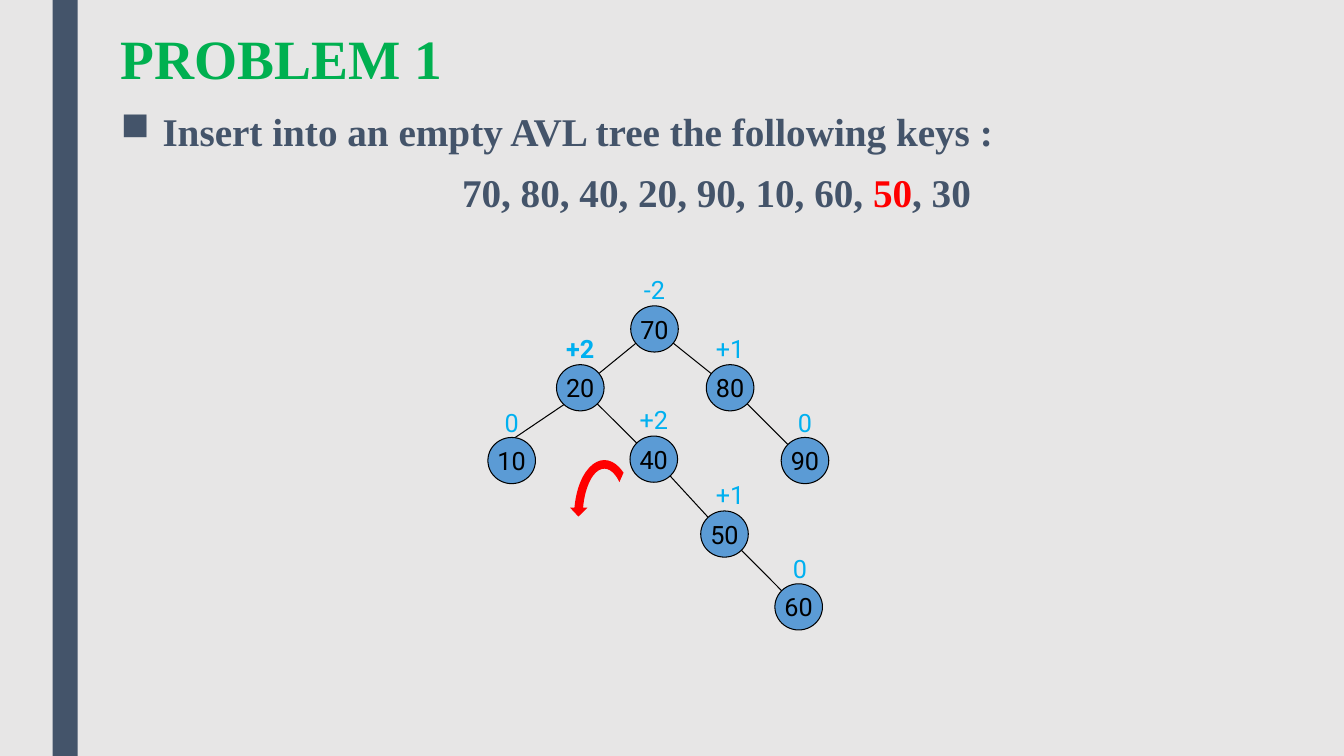
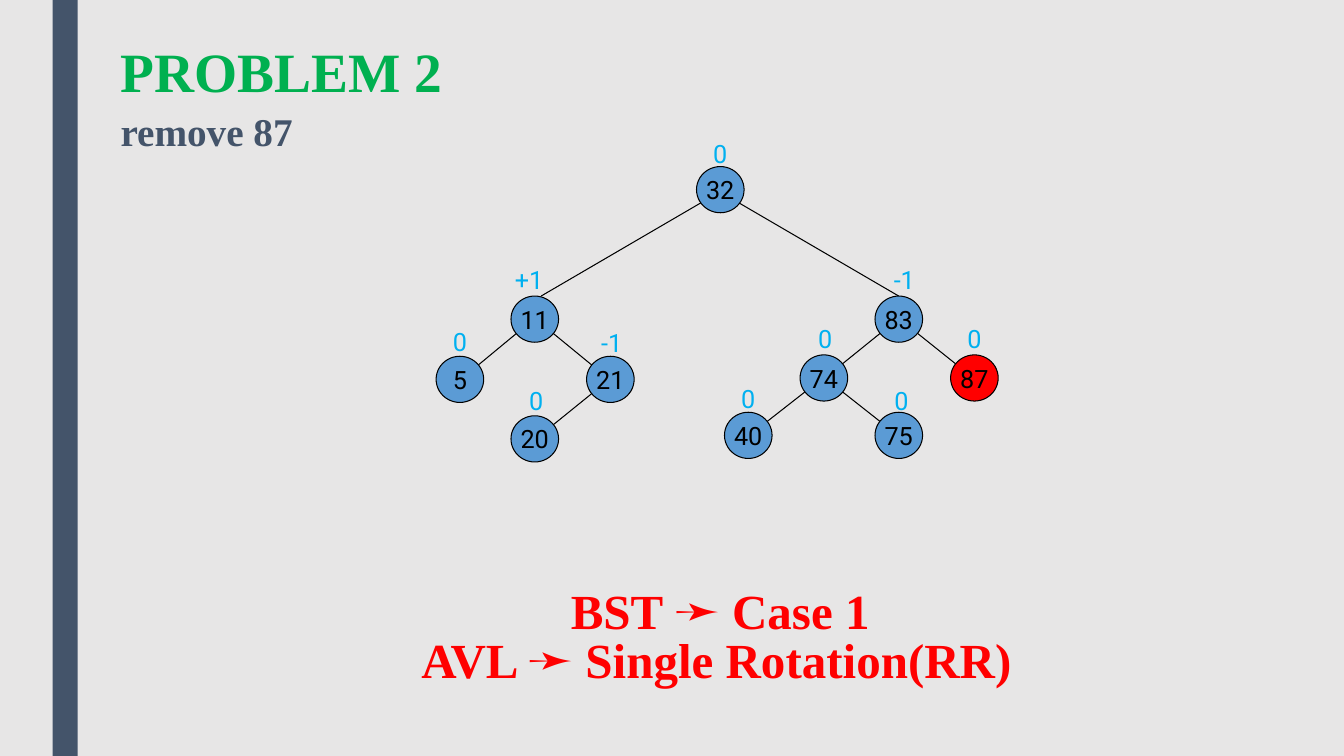
import math
from typing import NamedTuple, Optional

import lxml.etree
import pptx
import pptx.dml.color
import pptx.enum.shapes
import pptx.enum.text
import pptx.oxml.ns
import pptx.util

Pt = pptx.util.Pt
ALIGN = pptx.enum.text.PP_ALIGN
ANCHOR = pptx.enum.text.MSO_ANCHOR
SHAPE = pptx.enum.shapes.MSO_SHAPE

GREY, SLATE, GREEN, BLUE = "E7E6E6", "44546A", "00B050", "5B9BD5"
SKY, RED, BLACK = "00B0F0", "FF0000", "000000"
SERIF, SANS = "Times New Roman", "Roboto"
NODE_WIDTH, NODE_HEIGHT = 34, 33


class Node(NamedTuple):
    """A tree node by its centre; shift and rise place its balance factor.

    entry is the x offset at which the edge meets the top of the node;
    without it the edge points at the centre.
    """
    key: int
    x: float
    y: float
    balance: str
    parent: Optional[int] = None
    shift: float = 0
    rise: float = 28
    entry: Optional[float] = None
    fill: str = BLUE
    bold: bool = False


INSERT_TREE = [
    Node(70, 467.5, 235, "-2"),
    Node(20, 414.5, 277, "+2", 70, bold=True),
    Node(80, 521.5, 277, "+1", 70),
    Node(10, 365.5, 329, "0", 20, rise=27, entry=2.5),
    Node(40, 467, 328, "+2", 20),
    Node(90, 575, 329, "0", 80, rise=27),
    Node(50, 517.5, 381.5, "+1", 40, shift=4),
    Node(60, 570.5, 433.5, "0", 50, shift=1, rise=27),
]
REMOVE_TREE = [
    Node(32, 514.5, 135.5, "0", rise=26),
    Node(11, 382, 228, "+1", 32, shift=-4, entry=4.5),
    Node(83, 642, 228, "-1", 32, shift=4, entry=0),
    Node(5, 328.5, 271, "0", 11, rise=27),
    Node(21, 436, 271, "-1", 11, shift=1, rise=26),
    Node(20, 382, 313.5, "0", 21, shift=1, rise=27),
    Node(74, 588.5, 270, "0", 83, shift=1),
    Node(87, 696, 270, "0", 83, fill=RED),
    Node(40, 534.5, 311, "0", 74, rise=26),
    Node(75, 642, 311, "0", 74, shift=2, rise=25),
]


def rgb(value):
    return pptx.dml.color.RGBColor.from_string(value)


def rim(node, target):
    """Point where the node's outline faces the target."""
    angle = math.atan2(target.y - node.y, target.x - node.x)
    return (node.x + NODE_WIDTH / 2 * math.cos(angle),
            node.y + NODE_HEIGHT / 2 * math.sin(angle))


class Deck:
    def __init__(self):
        self.presentation = pptx.Presentation()
        self.presentation.slide_width = Pt(960)
        self.presentation.slide_height = Pt(540)
        self.slide = None

    def style_master(self):
        """Give the master its background and the band drawn on this slide."""
        master = self.presentation.slide_master
        master.background.fill.solid()
        master.background.fill.fore_color.rgb = rgb(GREY)
        band = self.shape(SHAPE.RECTANGLE, 37.5, 0, 18, 540, SLATE)
        band.element.nvSpPr.cNvPr.set("id", "20")
        master.shapes.element.insert(2, band.element)

    def new_slide(self, title, top):
        layout = self.presentation.slide_layouts.get_by_name("Title Only")
        self.slide = self.presentation.slides.add_slide(layout)
        if len(self.presentation.slides) == 1:
            self.style_master()
        heading = self.slide.shapes.title
        heading.left, heading.top = Pt(79), Pt(top)
        heading.width, heading.height = Pt(756), Pt(51)
        frame = heading.text_frame
        frame.auto_size = pptx.enum.text.MSO_AUTO_SIZE.NONE
        frame.vertical_anchor = ANCHOR.BOTTOM
        frame.text = title
        frame.paragraphs[0].line_spacing = 0.89
        self.format(frame.paragraphs[0], SERIF, 39.6, GREEN, True, ALIGN.LEFT)

    def format(self, paragraph, font, size, color, bold=False,
               align=ALIGN.CENTER):
        paragraph.alignment = align
        for run in paragraph.runs:
            run.font.name = font
            run.font.size = Pt(size)
            run.font.bold = bold
            run.font.color.rgb = rgb(color)

    def shape(self, kind, left, top, width, height, fill, line=None):
        shape = self.slide.shapes.add_shape(
            kind, Pt(left), Pt(top), Pt(width), Pt(height))
        shape.shadow.inherit = False
        shape.fill.solid()
        shape.fill.fore_color.rgb = rgb(fill)
        if line:
            shape.line.color.rgb = rgb(line)
            shape.line.width = Pt(0.75)
        else:
            shape.line.fill.background()
        return shape

    def label(self, text, x, y, width, height, font, size, color, bold=False):
        """One centred line of text around the point x, y."""
        box = self.slide.shapes.add_textbox(
            Pt(x - width / 2), Pt(y - height / 2), Pt(width), Pt(height))
        box.text_frame.word_wrap = False
        box.text_frame.text = text
        self.format(box.text_frame.paragraphs[0], font, size, color, bold)

    def body(self, *lines):
        box = self.slide.shapes.add_textbox(
            Pt(79), Pt(75.5), Pt(865.5), Pt(416))
        frame = box.text_frame
        frame.word_wrap = True
        frame.text = "\n".join(lines)
        for paragraph in frame.paragraphs:
            paragraph.line_spacing = 0.94
            paragraph.space_before, paragraph.space_after = Pt(10), Pt(2)
            self.format(paragraph, SERIF, 28, SLATE, True, ALIGN.LEFT)
        return frame.paragraphs

    def bullet(self, paragraph):
        properties = paragraph._p.get_or_add_pPr()
        properties.set("marL", str(Pt(30)))
        properties.set("indent", str(-Pt(30)))
        mark = lxml.etree.SubElement(
            properties, pptx.oxml.ns.qn("a:buChar"))
        mark.set("char", "■")

    def edge(self, parent, child):
        start = rim(parent, child)
        if child.entry is None:
            end = rim(child, parent)
        else:
            end = child.x + child.entry, child.y - NODE_HEIGHT / 2
        line = self.slide.shapes.add_connector(
            pptx.enum.shapes.MSO_CONNECTOR.STRAIGHT,
            *(Pt(value) for value in (*start, *end)))
        line.line.color.rgb = rgb(BLACK)
        line.line.width = Pt(0.75)
        lxml.etree.SubElement(
            line.element.spPr, pptx.oxml.ns.qn("a:effectLst"))

    def node(self, node):
        circle = self.shape(
            SHAPE.OVAL, node.x - NODE_WIDTH / 2, node.y - NODE_HEIGHT / 2,
            NODE_WIDTH, NODE_HEIGHT, node.fill, BLACK)
        frame = circle.text_frame
        frame.word_wrap = False
        frame.vertical_anchor = ANCHOR.MIDDLE
        frame.text = str(node.key)
        self.format(frame.paragraphs[0], SANS, 18, BLACK)
        self.label(node.balance, node.x + node.shift, node.y - node.rise,
                   36, 29, SANS, 18, SKY, node.bold)

    def tree(self, nodes):
        by_key = {node.key: node for node in nodes}
        for node in nodes:
            if node.parent is not None:
                self.edge(by_key[node.parent], node)
        for node in nodes:
            self.node(node)

    def rotation_arrow(self, left, top, width, height):
        arrow = self.shape(
            SHAPE.CIRCULAR_ARROW, left, top, width, height, RED)
        for index, value in enumerate(
                (0.125, 11.423, 204.577, 147.849, 0.125)):
            arrow.adjustments[index] = value
        arrow.element.spPr.xfrm.set("flipH", "1")


def insertion_slide(deck):
    deck.new_slide("PROBLEM 1", 18)
    task, keys = deck.body(
        "Insert into an empty AVL tree the following keys :", "")
    deck.bullet(task)
    for text, color in (("70, 80, 40, 20, 90, 10, 60, ", SLATE),
                        ("50", RED), (", 30", SLATE)):
        run = keys.add_run()
        run.text = text
        run.font.color.rgb = rgb(color)
        run.font.name, run.font.size, run.font.bold = SERIF, Pt(28), True
    keys.alignment = ALIGN.CENTER
    deck.tree(INSERT_TREE)
    deck.rotation_arrow(407, 325.5, 49.5, 87)


def removal_slide(deck):
    deck.new_slide("PROBLEM 2", 27.5)
    deck.body("remove 87")
    deck.tree(REMOVE_TREE)
    for text, x, y, width in (("BST ➛ Case 1", 514.5, 436, 228),
                              ("AVL ➛ Single Rotation(RR)", 512, 471, 438)):
        deck.label(text, x, y, width, 49.5, SERIF, 35, RED, True)


def main():
    deck = Deck()
    insertion_slide(deck)
    removal_slide(deck)
    deck.presentation.save("out.pptx")


if __name__ == "__main__":
    main()
